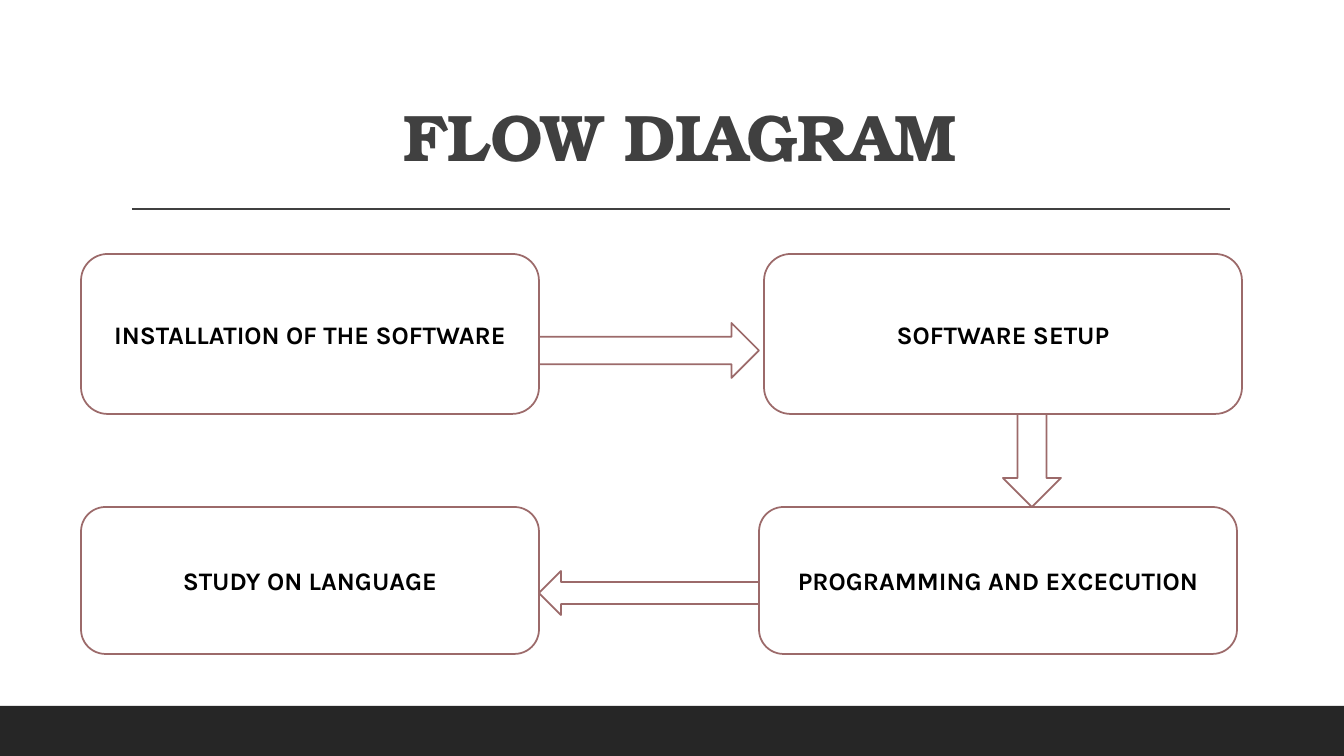
"""Build the flow diagram slide."""
from pptx import Presentation
from pptx.dml.color import RGBColor
from pptx.enum.shapes import MSO_CONNECTOR, MSO_SHAPE
from pptx.enum.text import MSO_ANCHOR, PP_ALIGN
from pptx.oxml.ns import qn
from pptx.util import Pt
from lxml import etree

RECT, ROUND = MSO_SHAPE.RECTANGLE, MSO_SHAPE.ROUNDED_RECTANGLE
RIGHT, DOWN, LEFT = MSO_SHAPE.RIGHT_ARROW, MSO_SHAPE.DOWN_ARROW, MSO_SHAPE.LEFT_ARROW
STRAIGHT = MSO_CONNECTOR.STRAIGHT
MIDDLE, BOTTOM = MSO_ANCHOR.MIDDLE, MSO_ANCHOR.BOTTOM
CENTER = PP_ALIGN.CENTER

THEME = {
    "paper": RGBColor.from_string("FFFFFF"),
    "band": RGBColor.from_string("262626"),
    "title": RGBColor.from_string("404040"),
    "edge": RGBColor.from_string("9C6A6A"),
    "ink": RGBColor.from_string("000000"),
    "head_font": "TeX Gyre Bonum",
    "body_font": "Karla",
    "head_size": Pt(47),
    "body_size": Pt(18),
    "rule": Pt(1),
    "edge_width": Pt(1.25),
}
SCALE = 914400 / 100.8


def px(*sizes):
    return [round(size * SCALE) for size in sizes]


def add_run(para, text, font, size, color):
    run = para.add_run()
    run.text = text
    run.font.name = THEME[font]
    run.font.size = THEME[size]
    run.font.color.rgb = THEME[color]
    run.font.bold = True
    return run


deck = Presentation()
deck.slide_width, deck.slide_height = px(1344, 756)
slide = deck.slides.add_slide(deck.slide_layouts[6])
shapes = slide.shapes
slide.background.fill.solid()
slide.background.fill.fore_color.rgb = THEME["paper"]

band = shapes.add_shape(RECT, *px(0, 706, 1344, 50))
band.shadow.inherit = False
band.fill.solid()
band.fill.fore_color.rgb = THEME["band"]
band.line.fill.background()

rule = shapes.add_connector(STRAIGHT, *px(132, 209, 1230, 209))
rule.line.color.rgb = THEME["title"]
rule.line.width = THEME["rule"]
etree.SubElement(rule._element.spPr, qn("a:effectLst"))

title = shapes.add_textbox(*px(394, 21, 1109 - 159, 160))
frame = title.text_frame
frame.word_wrap = True
frame.vertical_anchor = BOTTOM
para = frame.paragraphs[0]
para.line_spacing = 0.9
run = add_run(para, "FLOW DIAGRAM", "head_font", "head_size", "title")
run._r.get_or_add_rPr().set("spc", "-50")

STEPS = [
    (ROUND, 81, 254, 458, 160, "INSTALLATION OF THE SOFTWARE"),
    (ROUND, 764, 254, 478, 160, "SOFTWARE SETUP"),
    (ROUND, 81, 507, 458, 147, "STUDY ON LANGUAGE"),
    (ROUND, 759, 507, 478, 147, "PROGRAMMING AND EXCECUTION"),
    (RIGHT, 539, 323, 220, 55, ""),
    (DOWN, 1003, 414, 58, 93, ""),
    (LEFT, 539, 571, 220, 44, ""),
]
for kind, left, top, width, height, label in STEPS:
    step = shapes.add_shape(kind, *px(left, top, width, height))
    step.shadow.inherit = False
    step.fill.solid()
    step.fill.fore_color.rgb = THEME["paper"]
    step.line.color.rgb = THEME["edge"]
    step.line.width = THEME["edge_width"]
    if label:
        frame = step.text_frame
        frame.word_wrap = True
        frame.vertical_anchor = MIDDLE
        para = frame.paragraphs[0]
        para.alignment = CENTER
        add_run(para, label, "body_font", "body_size", "ink")

deck.save("out.pptx")
